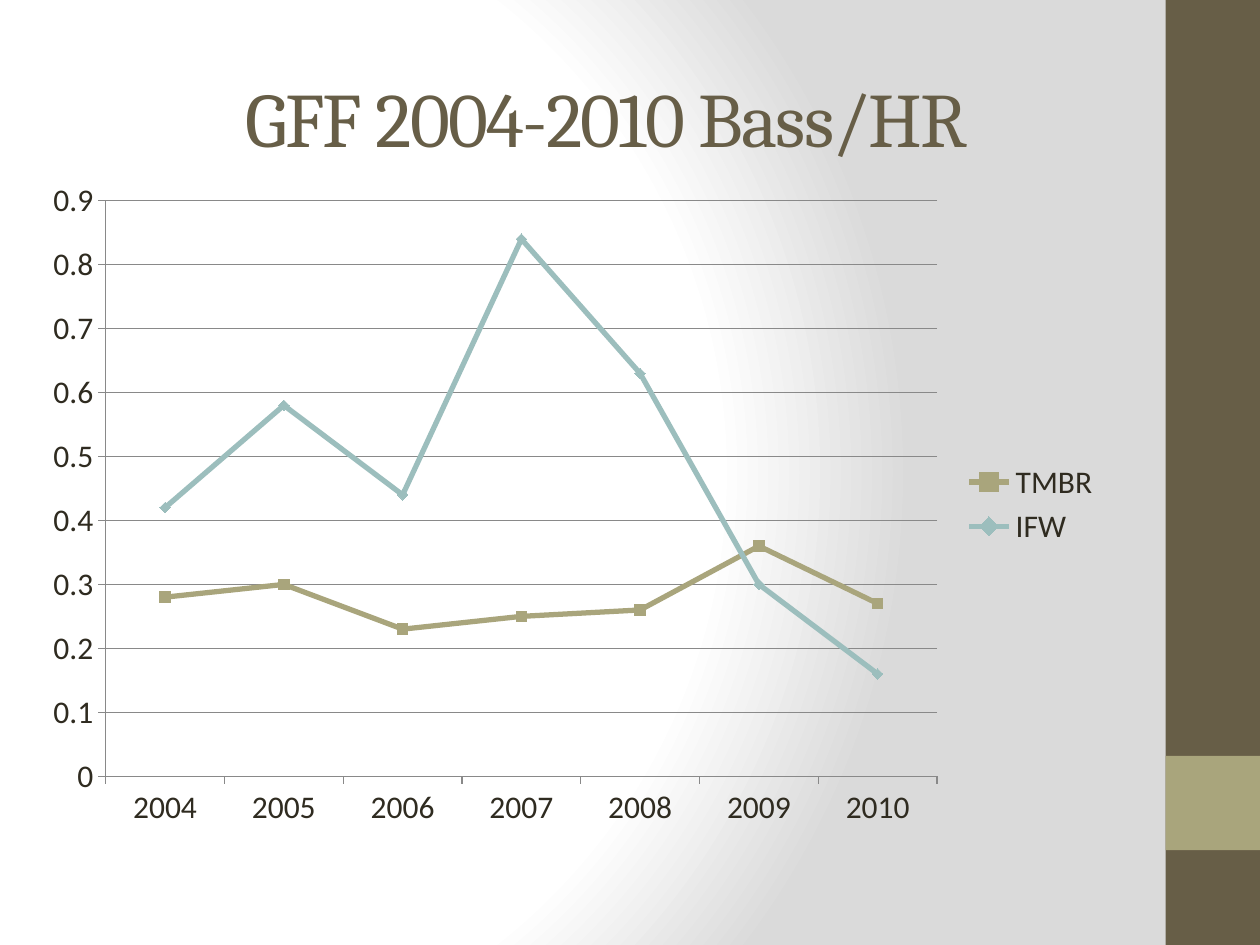
import pptx
import pptx.chart.data
import pptx.dml.color
import pptx.enum.chart
import pptx.enum.shapes
import pptx.enum.text
import pptx.oxml
import pptx.oxml.ns
import pptx.util
from pptx.util import Cm, Pt

BROWN = "675E47"
OLIVE = "A9A57C"
TEAL = "9CBEBD"
INK = "2F2B20"
GRID = "898989"

YEARS = ["2004", "2005", "2006", "2007", "2008", "2009", "2010"]
SQUARE = pptx.enum.chart.XL_MARKER_STYLE.SQUARE
DIAMOND = pptx.enum.chart.XL_MARKER_STYLE.DIAMOND
CATCH_RATES = [
    ("TMBR", [0.28, 0.3, 0.23, 0.25, 0.26, 0.36, 0.27], OLIVE, SQUARE),
    ("IFW", [0.42, 0.58, 0.44, 0.84, 0.63, 0.3, 0.16], TEAL, DIAMOND),
]


def color(hex_code):
    return pptx.dml.color.RGBColor.from_string(hex_code)


def paint_background(slide):
    """Fill the background with a circular gradient, white to grey."""
    slide.background.fill.solid()
    properties = slide.element.find(".//" + pptx.oxml.ns.qn("p:bgPr"))
    stops = "".join(
        f'<a:gs pos="{percent * 1000}"><a:srgbClr val="{shade}"/></a:gs>'
        for percent, shade in [(0, "FFFFFF"), (75, "FFFFFF"), (100, "DADADA")]
    )
    gradient = pptx.oxml.parse_xml(
        f'<a:gradFill {pptx.oxml.ns.nsdecls("a")} rotWithShape="1">'
        f"<a:gsLst>{stops}</a:gsLst>"
        '<a:path path="circle">'
        '<a:fillToRect l="20000" t="50000" r="100000" b="50000"/>'
        "</a:path></a:gradFill>"
    )
    properties.replace(properties[0], gradient)


def add_side_band(slide, top, height, fill):
    band = slide.shapes.add_shape(
        pptx.enum.shapes.MSO_SHAPE.RECTANGLE, Cm(23.5), top, Cm(1.9), height
    )
    band.shadow.inherit = False
    band.fill.solid()
    band.fill.fore_color.rgb = color(fill)
    band.line.fill.background()


def set_title(slide, text):
    title = slide.shapes.title
    title.left, title.top = Cm(2.54), Cm(0.64)
    title.width, title.height = Cm(19.69), Cm(2.77)
    frame = title.text_frame
    frame.text = text
    frame.vertical_anchor = pptx.enum.text.MSO_ANCHOR.BOTTOM
    heading = frame.paragraphs[0]
    heading.alignment = pptx.enum.text.PP_ALIGN.CENTER
    heading.font.name = "Cambria"
    heading.font.size = Pt(44)
    heading.font.color.rgb = color(BROWN)
    heading.runs[0].font._element.set("spc", "-100")


def style_axis(axis):
    axis.major_tick_mark = pptx.enum.chart.XL_TICK_MARK.OUTSIDE
    axis.minor_tick_mark = pptx.enum.chart.XL_TICK_MARK.NONE
    axis.format.line.color.rgb = color(GRID)
    axis.format.line.width = Pt(0.75)


def style_series(series, hue, marker_style):
    series.smooth = False
    series.format.line.color.rgb = color(hue)
    series.format.line.width = Pt(3)
    marker = series.marker
    marker.style = marker_style
    marker.size = 6
    marker.format.fill.solid()
    marker.format.fill.fore_color.rgb = color(hue)
    marker.format.line.color.rgb = color(hue)


def add_catch_chart(slide):
    rates = pptx.chart.data.CategoryChartData()
    rates.categories = YEARS
    for name, values, _, _ in CATCH_RATES:
        rates.add_series(name, values)
    chart = slide.shapes.add_chart(
        pptx.enum.chart.XL_CHART_TYPE.LINE_MARKERS,
        Cm(0.64), Cm(3.39), Cm(21.8), Cm(13.55), rates,
    ).chart
    chart.has_title = False
    chart.font.name = "Calibri"
    chart.font.size = Pt(18)
    chart.font.color.rgb = color(INK)

    chart.has_legend = True
    chart.legend.position = pptx.enum.chart.XL_LEGEND_POSITION.RIGHT
    chart.legend.include_in_layout = False

    style_axis(chart.category_axis)
    rate_axis = chart.value_axis
    style_axis(rate_axis)
    rate_axis.minimum_scale, rate_axis.maximum_scale = 0, 0.9
    rate_axis.major_unit = 0.1
    rate_axis.has_major_gridlines = True
    gridline = rate_axis.major_gridlines.format.line
    gridline.color.rgb = color(GRID)
    gridline.width = Pt(0.75)

    plot = chart.plots[0]
    plot.vary_by_categories = False
    for series, (_, _, hue, marker_style) in zip(plot.series, CATCH_RATES):
        style_series(series, hue, marker_style)


def main():
    deck = pptx.Presentation()
    deck.slide_width, deck.slide_height = Cm(25.4), Cm(19.05)
    slide = deck.slides.add_slide(deck.slide_layouts.get_by_name("Title Only"))
    paint_background(slide)
    add_side_band(slide, Cm(0), deck.slide_height, BROWN)
    add_side_band(slide, Cm(15.24), Cm(1.9), OLIVE)
    set_title(slide, "GFF 2004-2010 Bass/HR ")
    add_catch_chart(slide)
    deck.save("out.pptx")


if __name__ == "__main__":
    main()
